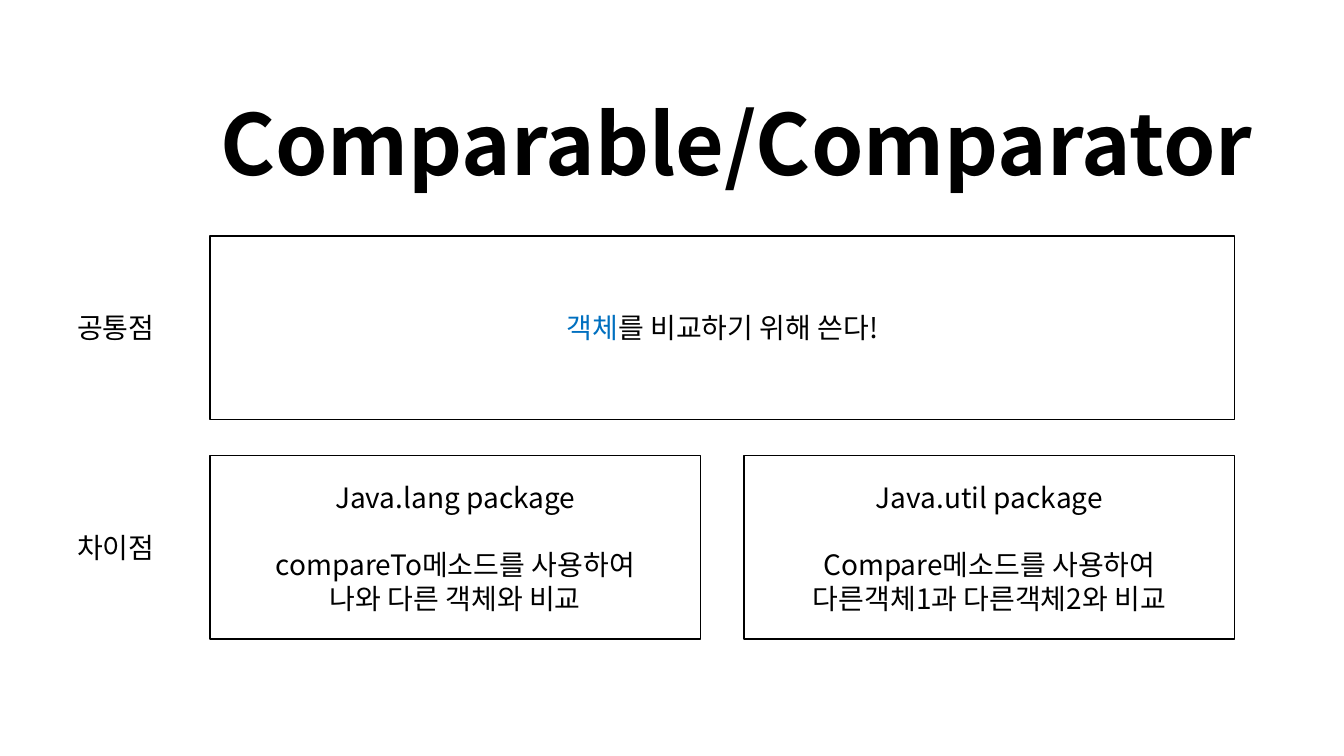
from dataclasses import dataclass

from pptx import Presentation
from pptx import util as u
from pptx.dml.color import RGBColor
from pptx.enum import shapes, text
from pptx.oxml.ns import qn


@dataclass(frozen=True)
class Theme:
    font: str = "Noto Sans CJK KR"
    ink: RGBColor = RGBColor(0, 0, 0)
    accent: RGBColor = RGBColor(0x00, 0x70, 0xC0)
    title: int = 60
    body: int = 20


THEME = Theme()

# Shared grid, in points
LEFT, WIDTH, GAP = 150, 732, 31
ROW_TOPS, ROW_H = (168.5, 325.5), 131
HALF = (WIDTH - GAP) / 2


def set_attrs(obj, values):
    for name, value in values.items():
        setattr(obj, name, value)


def place(sp, left, top, width, height):
    box = dict(left=left, top=top, width=width, height=height)
    set_attrs(sp, {name: u.Pt(value) for name, value in box.items()})


def add_run(p, words, size=THEME.body, color=THEME.ink, bold=False):
    r = p.add_run()
    r.text = words
    set_attrs(r.font, dict(name=THEME.font, size=u.Pt(size), bold=bold))
    r.font.color.rgb = color
    # East Asian typeface for the Korean words
    ea = r.font._element.makeelement(qn("a:ea"), {"typeface": THEME.font})
    r.font._element.find(qn("a:latin")).addnext(ea)


def write_lines(sp, lines):
    """Each line is a list of (words, color) runs plus its space before."""
    tf = sp.text_frame
    set_attrs(tf, dict(word_wrap=True,
                       vertical_anchor=text.MSO_ANCHOR.MIDDLE))
    for i, (runs, space) in enumerate(lines):
        p = tf.paragraphs[0] if i == 0 else tf.add_paragraph()
        set_attrs(p, dict(alignment=text.PP_ALIGN.CENTER,
                          space_before=u.Pt(space)))
        for words, color in runs:
            add_run(p, words, color=color)


def add_title(s, words):
    sp = s.shapes.title
    place(sp, LEFT, 70, 777.5, 160.5)
    tf = sp.text_frame
    set_attrs(tf, dict(word_wrap=True, auto_size=text.MSO_AUTO_SIZE.NONE,
                       vertical_anchor=text.MSO_ANCHOR.TOP))
    p = tf.paragraphs[0]
    set_attrs(p, dict(alignment=text.PP_ALIGN.LEFT, line_spacing=0.9))
    add_run(p, words, THEME.title, bold=True)


def add_box(s, left, top, width, lines):
    sp = s.shapes.add_shape(shapes.MSO_SHAPE.RECTANGLE, 0, 0, 0, 0)
    place(sp, left, top, width, ROW_H)
    sp.shadow.inherit = False
    sp.fill.background()
    sp.line.color.rgb = THEME.ink
    sp.line.width = u.Pt(1)
    write_lines(sp, lines)


def add_label(s, row_top, words):
    height = 73.5
    sp = s.shapes.add_textbox(0, 0, 0, 0)
    place(sp, 34.5, row_top + (ROW_H - height) / 2, 96.5, height)
    write_lines(sp, [([(words, THEME.ink)], 0)])


def main():
    prs = Presentation()
    set_attrs(prs, dict(slide_width=u.Pt(960), slide_height=u.Pt(540)))
    s = prs.slides.add_slide(prs.slide_layouts[5])
    add_title(s, "Comparable/Comparator")

    # What both interfaces share
    add_box(s, LEFT, ROW_TOPS[0], WIDTH,
            [([("객체", THEME.accent),
               ("를 비교하기 위해 쓴다!", THEME.ink)], 0)])

    # Where they differ
    differences = [
        ("Java.lang package", "compareTo메소드를 사용하여", "나와 다른 객체와 비교"),
        ("Java.util package", "Compare메소드를 사용하여",
         "다른객체1과 다른객체2와 비교"),
    ]
    for i, lines in enumerate(differences):
        spaced = [([(words, THEME.ink)], space)
                  for words, space in zip(lines, (0, 24, 0))]
        add_box(s, LEFT + i * (HALF + GAP), ROW_TOPS[1], HALF, spaced)

    # Row labels
    for top, words in zip(ROW_TOPS, ("공통점", "차이점")):
        add_label(s, top, words)

    prs.save("out.pptx")


main()
